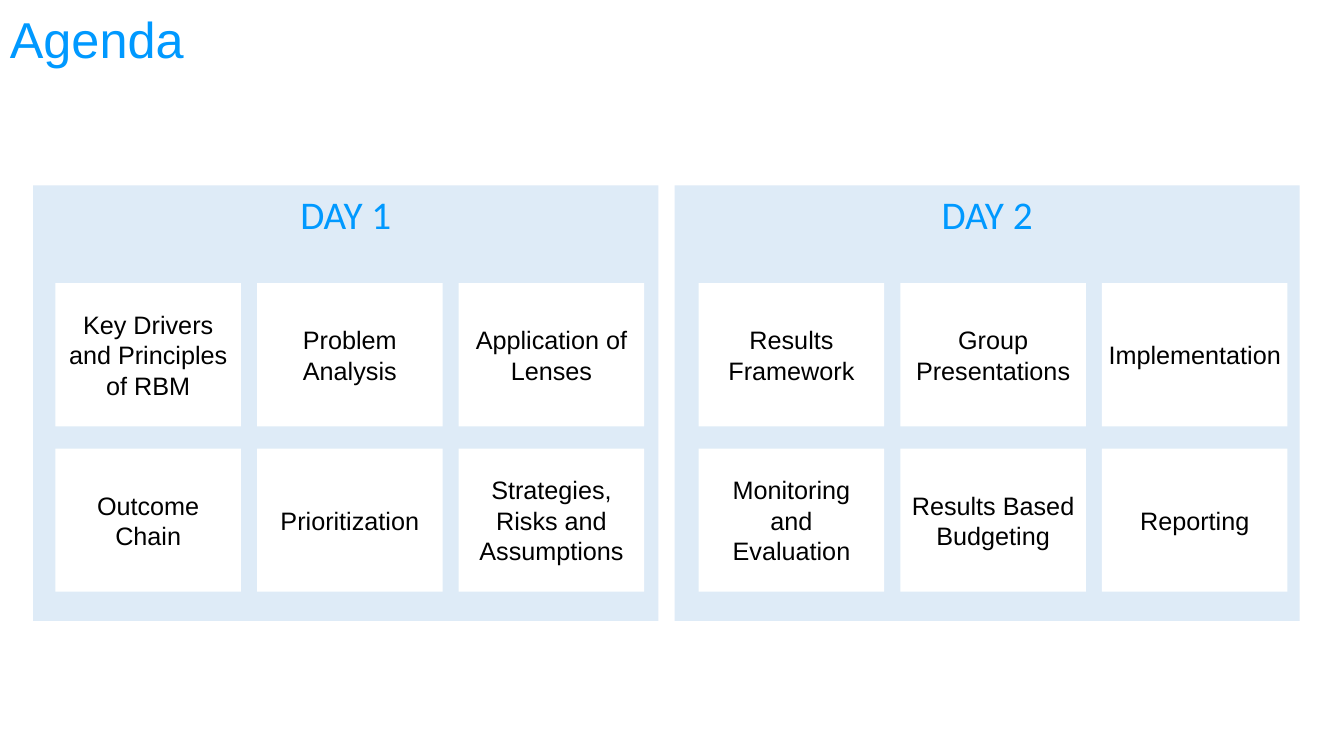
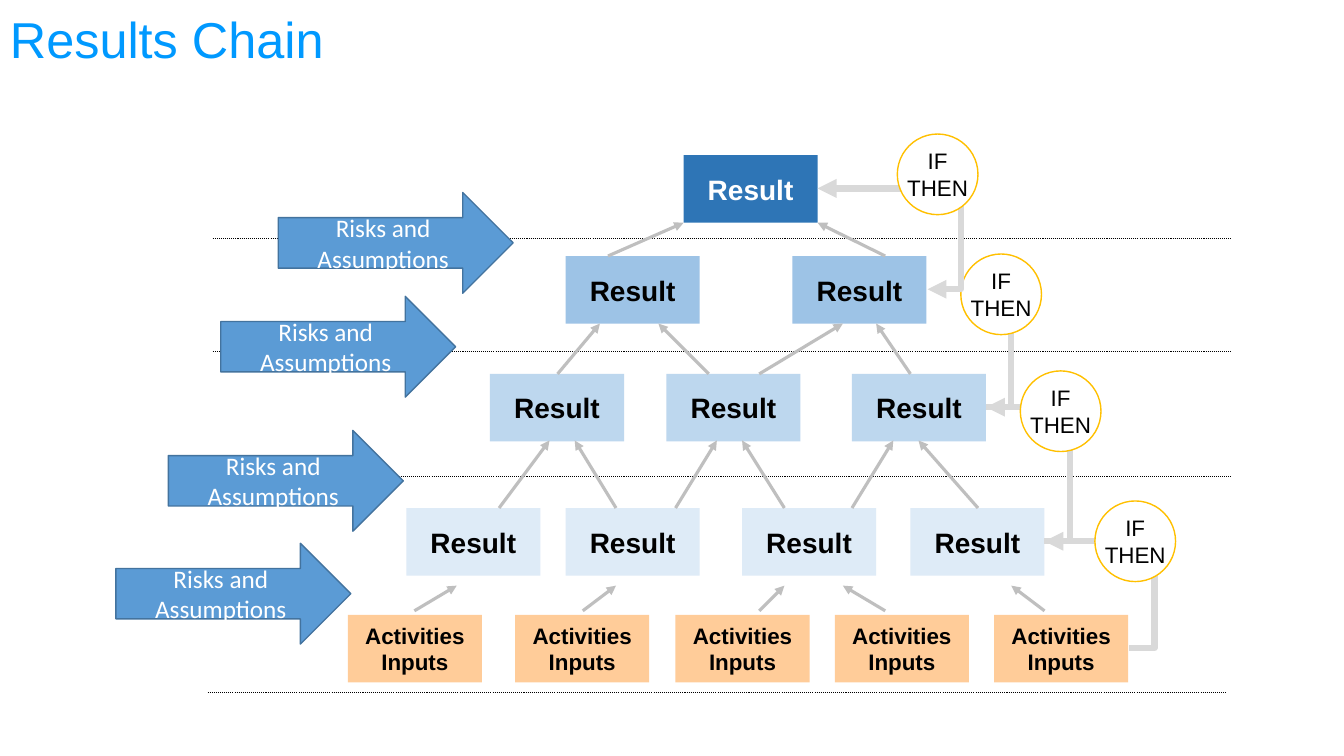
from dataclasses import dataclass

from lxml import etree
from pptx import Presentation
from pptx.dml.color import RGBColor
from pptx.enum.dml import MSO_LINE
from pptx.enum.shapes import MSO_CONNECTOR, MSO_SHAPE
from pptx.enum.text import MSO_ANCHOR, PP_ALIGN
from pptx.oxml.ns import qn
from pptx.util import Pt

RECT, OVAL, BLOCK_ARROW = MSO_SHAPE.RECTANGLE, MSO_SHAPE.OVAL, MSO_SHAPE.RIGHT_ARROW
STRAIGHT, ELBOW = MSO_CONNECTOR.STRAIGHT, MSO_CONNECTOR.ELBOW
TOP, MIDDLE = MSO_ANCHOR.TOP, MSO_ANCHOR.MIDDLE
LEFT, CENTER = PP_ALIGN.LEFT, PP_ALIGN.CENTER
DOTTED = MSO_LINE.ROUND_DOT
EMU_PER_PX = 9144
PAGE_W, PAGE_H = 1333, 750


@dataclass(frozen=True)
class Theme:
    accent: str = "0099FF"
    white: str = "FFFFFF"
    black: str = "000000"
    panel: str = "DEEBF7"
    level_low: str = "DEEBF7"
    level_mid: str = "BDD7EE"
    level_high: str = "9DC3E6"
    level_top: str = "2E75B6"
    activity: str = "FFCC99"
    risk: str = "5B9BD5"
    risk_edge: str = "43739E"
    gate_edge: str = "FFC000"
    link: str = "BFBFBF"
    loop: str = "D9D9D9"
    title: tuple = ("Arial", 36, False)
    day: tuple = ("Calibri", 28, False)
    tile: tuple = ("Arial", 18, False)
    result: tuple = ("Arial", 20, True)
    inputs: tuple = ("Arial", 16, True)
    gate: tuple = ("Arial", 16, False)
    risk_text: tuple = ("Calibri", 18, False)


THEME = Theme()

DAYS = [
    ("DAY 1", 33, 55, [
        ["Key Drivers and Principles of RBM", "Problem Analysis", "Application of Lenses"],
        ["Outcome Chain", "Prioritization", "Strategies, Risks and Assumptions"],
    ]),
    ("DAY 2", 669, 693, [
        ["Results Framework", "Group Presentations", "Implementation"],
        ["Monitoring and Evaluation", "Results Based Budgeting", "Reporting"],
    ]),
]

RESULT, ACTIVITY = "Result", "Activities\nInputs"
BOX_W, BOX_H = 133, 67
LEVELS = [
    (RESULT, 154, [678], THEME.level_top, THEME.white, THEME.result),
    (RESULT, 254, [561, 786], THEME.level_high, THEME.black, THEME.result),
    (RESULT, 371, [486, 661, 845], THEME.level_mid, THEME.black, THEME.result),
    (RESULT, 504, [403, 561, 736, 903], THEME.level_low, THEME.black, THEME.result),
    (ACTIVITY, 610, [345, 511, 670, 828, 986], THEME.activity, THEME.black, THEME.inputs),
]
LINKS = [
    (254, 221, [(603, 678), (878, 811)]),
    (371, 321, [(553, 595), (703, 653), (753, 836), (903, 869)]),
    (504, 437, [(495, 545), (611, 570), (670, 711), (778, 736), (845, 886), (970, 911)]),
    (606, 581, [(411, 453), (578, 611), (753, 778), (878, 836), (1036, 1003)]),
]
DIVIDERS = [(211, 237), (211, 349), (211, 473), (206, 687)]
LOOPS = [
    ((1120, 643), (1036, 537), (1086, 497)),
    ((1036, 537), (978, 404), (1012, 368)),
    ((978, 404), (920, 287), (953, 252)),
    ((928, 287), (811, 187), (890, 133)),
]
RISKS = [(276, 191), (219, 294), (167, 427), (115, 539)]


def emu(*lengths):
    return [length * EMU_PER_PX for length in lengths]


def assign(target, values):
    for name, value in values.items():
        setattr(target, name, value)


class Deck:
    """Builds slides in one shared style."""

    def __init__(self, theme):
        self.theme = theme
        self.file = Presentation()
        self.file.slide_width, self.file.slide_height = emu(PAGE_W, PAGE_H)
        self.slide = None

    def new_slide(self, title):
        self.slide = self.file.slides.add_slide(self.file.slide_layouts[6])
        heading = self.slide.shapes.add_textbox(*emu(0, 0, PAGE_W, 84))
        self.label(heading, title, self.theme.title, self.theme.accent,
                   align=LEFT, line_spacing=0.9)

    def label(self, holder, text, style, color, anchor=MIDDLE, wrap=True,
              align=CENTER, line_spacing=None, margin=None):
        frame = holder.text_frame
        frame.text = text
        assign(frame, {"word_wrap": wrap, "vertical_anchor": anchor})
        if margin is not None:
            assign(frame, {f"margin_{side}": margin
                           for side in ("left", "top", "right", "bottom")})
        name, size, bold = style
        for paragraph in frame.paragraphs:
            assign(paragraph, {"alignment": align, "line_spacing": line_spacing})
            assign(paragraph.font, {"name": name, "size": Pt(size), "bold": bold})
            paragraph.font.color.rgb = RGBColor.from_string(color)

    def block(self, preset, at, fill, text, style, color, edge=None, **layout):
        block = self.slide.shapes.add_shape(preset, *emu(*at))
        block.shadow.inherit = False
        block.fill.solid()
        block.fill.fore_color.rgb = RGBColor.from_string(fill)
        if edge:
            block.line.color.rgb = RGBColor.from_string(edge)
            block.line.width = Pt(1)
        else:
            block.line.fill.background()
        self.label(block, text, style, color, **layout)

    def line(self, start, end, color, width, arrow=True, dash=None, overshoot=None):
        kind = STRAIGHT if overshoot is None else ELBOW
        line = self.slide.shapes.add_connector(kind, *emu(*start, *end))
        line.line.color.rgb = RGBColor.from_string(color)
        assign(line.line, {"width": Pt(width), "dash_style": dash})
        if arrow:
            etree.SubElement(line.get_or_add_ln(), qn("a:tailEnd"), type="triangle")
        properties = line._element.spPr
        if overshoot is not None:
            bend = round(-100000 * overshoot / abs(start[0] - end[0]))
            guides = properties.find(qn("a:prstGeom")).get_or_add_avLst()
            etree.SubElement(guides, qn("a:gd"), name="adj1", fmla=f"val {bend}")
        etree.SubElement(properties, qn("a:effectLst"))


def build_agenda(deck):
    theme = deck.theme
    deck.new_slide("Agenda")
    for day, panel_x, first_x, rows in DAYS:
        deck.block(RECT, (panel_x, 184, 620, 432), theme.panel, day,
                   theme.day, theme.accent, anchor=TOP)
        for row, topics in enumerate(rows):
            for column, topic in enumerate(topics):
                at = (first_x + 200 * column, 281 + 164 * row, 184, 142)
                deck.block(RECT, at, theme.white, topic, theme.tile, theme.black,
                           wrap=" " in topic)


def build_results_chain(deck):
    theme = deck.theme
    deck.new_slide("Results Chain")
    for x, y in DIVIDERS:
        deck.line((x, y), (x + 1010, y), theme.black, 0.75, arrow=False, dash=DOTTED)
    for label, y, columns, fill, color, style in LEVELS:
        for x in columns:
            deck.block(RECT, (x, y, BOX_W, BOX_H), fill, label, style, color, wrap=False)
    for low, high, spans in LINKS:
        for from_x, to_x in spans:
            deck.line((from_x, low), (to_x, high), theme.link, 2.25)
    for start, end, gate in LOOPS:
        deck.line(start, end, theme.loop, 4.5, overshoot=25)
        deck.block(OVAL, (*gate, 80, 80), theme.white, "IF\nTHEN", theme.gate,
                   theme.black, edge=theme.gate_edge, wrap=False, margin=0)
    for x, y in RISKS:
        deck.block(BLOCK_ARROW, (x, y, 233, 100), theme.risk, "Risks and Assumptions",
                   theme.risk_text, theme.white, edge=theme.risk_edge)


def main():
    deck = Deck(THEME)
    build_agenda(deck)
    build_results_chain(deck)
    deck.file.save("out.pptx")


if __name__ == "__main__":
    main()
